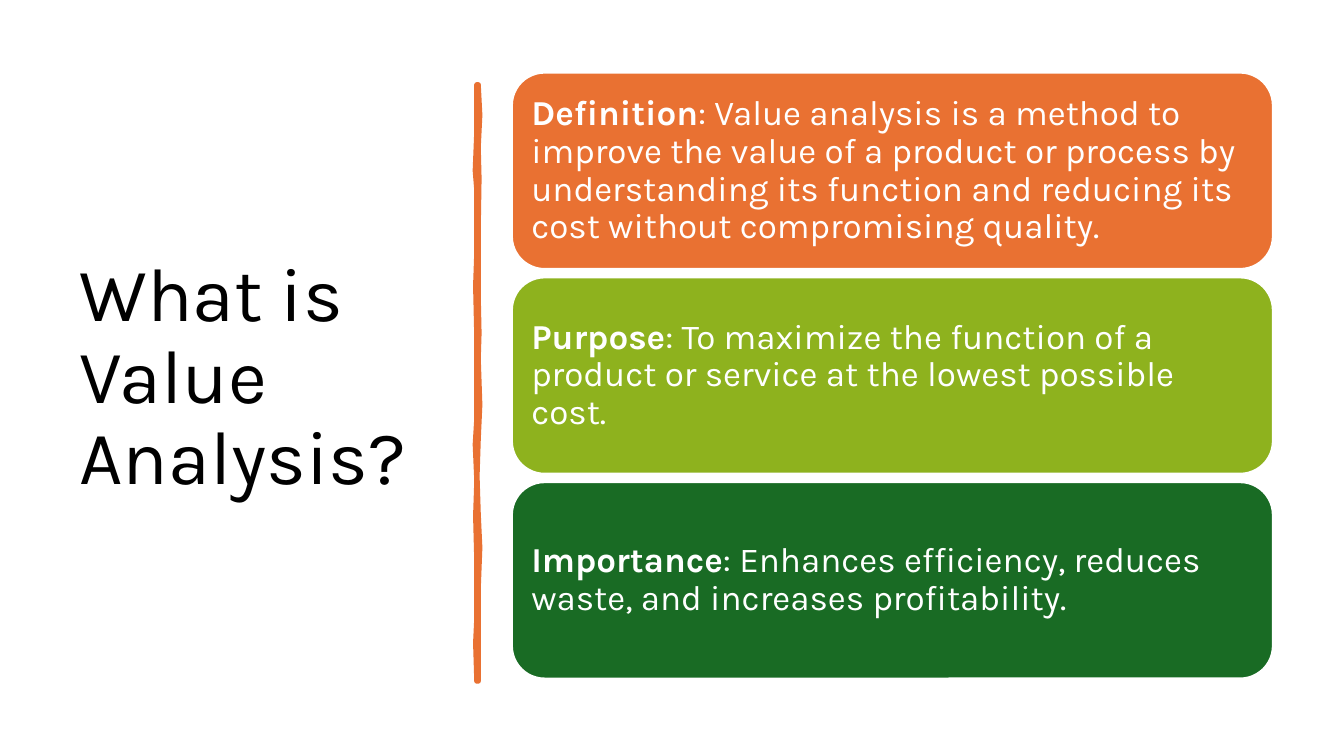
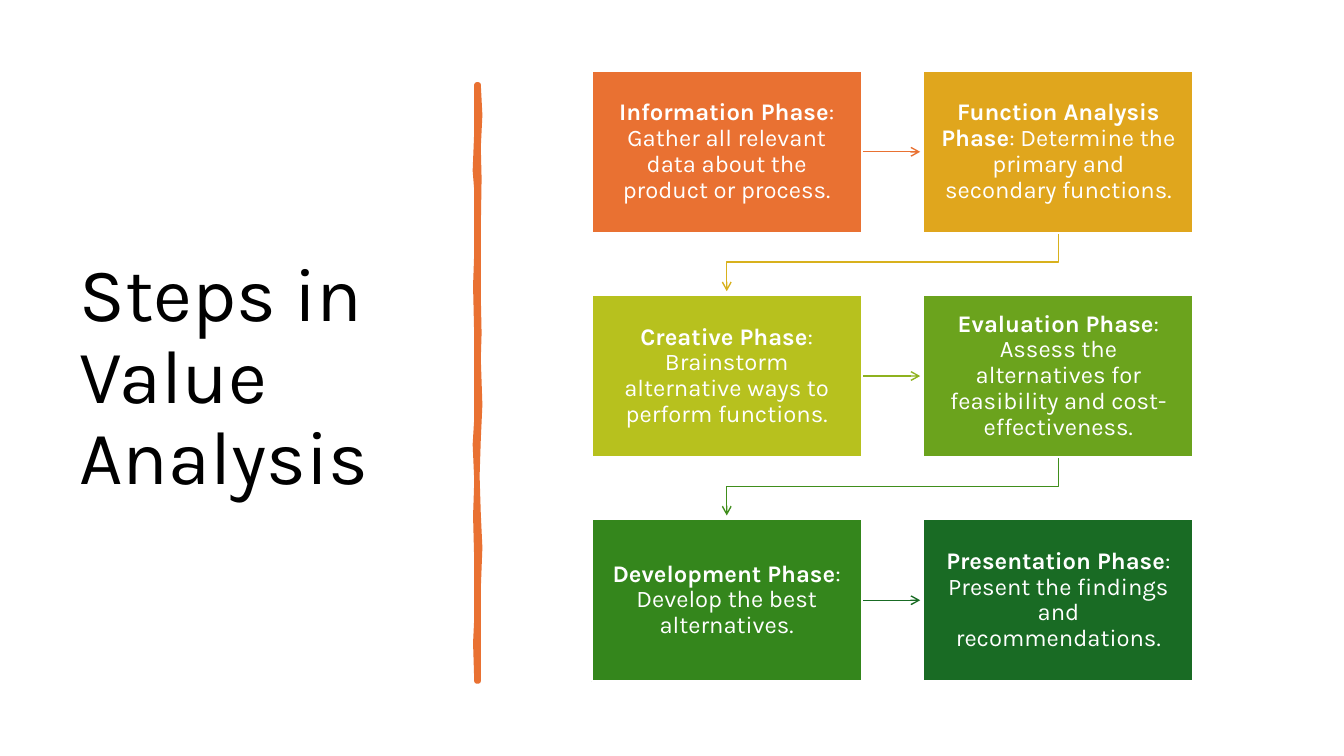
"""Build two slides on value analysis: its definition and its steps."""
import pptx
import pptx.dml.color
import pptx.enum.shapes
import pptx.enum.text
import pptx.oxml
import pptx.oxml.ns
import pptx.util

Cm = pptx.util.Cm
Pt = pptx.util.Pt
SHAPE = pptx.enum.shapes.MSO_SHAPE
CONNECTOR = pptx.enum.shapes.MSO_CONNECTOR
ALIGN = pptx.enum.text.PP_ALIGN
MIDDLE = pptx.enum.text.MSO_ANCHOR.MIDDLE

FONT = "Karla"
COLORS = {
    "black": "000000",
    "white": "FFFFFF",
    "orange": "E97132",
    "amber": "E0A61D",
    "gold": "D8B11D",
    "lime": "B7C11E",
    "olive": "8EB21E",
    "grass": "6BA31D",
    "leaf": "408E1C",
    "green": "34861C",
    "forest": "196B24",
}
RGB = {name: pptx.dml.color.RGBColor.from_string(value) for name, value in COLORS.items()}

TITLE_BOX = {"left": Cm(1.75), "top": Cm(1.78), "width": Cm(9.5), "height": Cm(15.52)}
TITLE_FRAME = {
    "word_wrap": True,
    "vertical_anchor": MIDDLE,
    "auto_size": pptx.enum.text.MSO_AUTO_SIZE.NONE,
}
CARD_FRAME = {
    "word_wrap": True,
    "vertical_anchor": MIDDLE,
    "margin_left": Cm(0.25),
    "margin_right": Cm(0.25),
    "margin_top": Cm(0.25),
    "margin_bottom": Cm(0.25),
}
STEP_FRAME = {
    "word_wrap": True,
    "vertical_anchor": MIDDLE,
    "margin_left": Cm(0.33),
    "margin_right": Cm(0.33),
    "margin_top": Cm(0.35),
    "margin_bottom": Cm(0.35),
}

BRUSH = [
    (12.06, 2.13), (12.1, 2.9), (12.06, 3.71), (12.08, 4.5), (12.06, 5.74),
    (12.06, 7.47), (12.08, 8.4), (12.06, 9.04), (12.1, 10.2), (12.06, 11.07),
    (12.03, 12), (12.06, 12.95), (12.1, 13.8), (12.06, 14.83), (12.06, 17.17),
    (12.01, 17.17), (11.98, 16.2), (12.01, 15.57), (12.01, 14.15), (11.98, 13),
    (12.01, 12.12), (11.97, 11.2), (12.01, 10.54), (12.01, 8.51), (11.98, 7.2),
    (12.01, 6.35), (12.01, 4.8), (11.97, 4.3), (12.01, 3.3), (12.01, 2.13),
]

SLIDE_TITLES = ["What is Value Analysis?", "Steps in Value Analysis"]
CARDS = [
    ("orange", "Definition", ": Value analysis is a method to improve the value of a product or "
     "process by understanding its function and reducing its cost without compromising quality."),
    ("olive", "Purpose",
     ": To maximize the function of a product or service at the lowest possible cost."),
    ("forest", "Importance",
     ": Enhances efficiency, reduces waste, and increases profitability."),
]
STEPS = [
    ("orange", "Information Phase", ": Gather all relevant data about the product or process."),
    ("amber", "Function Analysis Phase", ": Determine the primary and secondary functions."),
    ("lime", "Creative Phase", ": Brainstorm alternative ways to perform functions."),
    ("grass", "Evaluation Phase",
     ": Assess the alternatives for feasibility and cost-effectiveness."),
    ("green", "Development Phase", ": Develop the best alternatives."),
    ("forest", "Presentation Phase", ": Present the findings and recommendations."),
]
ARROW_COLORS = ["orange", "gold", "olive", "leaf", "forest"]


def add_box(s, shape, box, fill, texts, size, align, frame):
    """Add a filled box whose first text is bold."""
    sp = s.shapes.add_shape(shape, *[Cm(value) for value in box])
    sp.shadow.inherit = False
    sp.fill.solid()
    sp.fill.fore_color.rgb = RGB[fill]
    sp.line.color.rgb = RGB["white"]
    sp.line.width = Pt(1.5)
    for name, value in frame.items():
        setattr(sp.text_frame, name, value)
    p = sp.text_frame.paragraphs[0]
    p.alignment = align
    p.line_spacing = 0.9
    for text, bold in zip(texts, (True, False)):
        r = p.add_run()
        r.text = text
        for name, value in {"name": FONT, "size": Pt(size), "bold": bold}.items():
            setattr(r.font, name, value)
        r.font.color.rgb = RGB["white"]


def add_arrow(s, kind, ends, color):
    """Add a thin connector with an open head at its end."""
    c = s.shapes.add_connector(kind, *[Cm(value) for value in ends])
    c.line.color.rgb = RGB[color]
    c.line.width = Pt(1)
    ns = pptx.oxml.ns.nsdecls("a")
    c.line._get_or_add_ln().append(pptx.oxml.parse_xml(f'<a:tailEnd {ns} type="arrow"/>'))
    c._element.spPr.append(pptx.oxml.parse_xml(f"<a:effectLst {ns}/>"))
    return c


prs = pptx.Presentation()
prs.slide_width = Cm(33.87)
prs.slide_height = Cm(19.05)

slides = []
for title in SLIDE_TITLES:
    s = prs.slides.add_slide(prs.slide_layouts[5])
    sp = s.shapes.title
    for name, value in TITLE_BOX.items():
        setattr(sp, name, value)
    tf = sp.text_frame
    for name, value in TITLE_FRAME.items():
        setattr(tf, name, value)
    p = tf.paragraphs[0]
    p.alignment = ALIGN.LEFT
    p.line_spacing = 0.9
    r = p.add_run()
    r.text = title
    r.font.name = FONT
    r.font.size = Pt(54)
    r.font.color.rgb = RGB["black"]

    points = [(Cm(x), Cm(y)) for x, y in BRUSH]
    builder = s.shapes.build_freeform(*points[0])
    builder.add_line_segments(points[1:], close=True)
    sp = builder.convert_to_shape()
    sp.shadow.inherit = False
    sp.fill.solid()
    sp.fill.fore_color.rgb = RGB["orange"]
    sp.line.color.rgb = RGB["orange"]
    sp.line.width = Pt(3.25)
    sp.line._get_or_add_ln().append(
        pptx.oxml.parse_xml(f'<a:round {pptx.oxml.ns.nsdecls("a")}/>'))
    slides.append(s)

definition, steps = slides

for i, (fill, *texts) in enumerate(CARDS):
    box = (12.9, 1.83 + i * 5.16, 19.18, 4.95)
    add_box(definition, SHAPE.ROUNDED_RECTANGLE, box, fill, texts, 25, ALIGN.LEFT, CARD_FRAME)

LEFT, TOP, WIDTH, HEIGHT = 14.91, 1.78, 6.81, 4.09
COL_STEP, ROW_STEP, ARROW = 8.36, 5.65, 1.47
for i, (fill, *texts) in enumerate(STEPS):
    row, col = divmod(i, 2)
    x = LEFT + col * COL_STEP
    y = TOP + row * ROW_STEP
    if i < len(ARROW_COLORS) and col == 0:
        middle = y + HEIGHT / 2
        ends = (x + WIDTH, middle, x + WIDTH + ARROW, middle)
        add_arrow(steps, CONNECTOR.STRAIGHT, ends, ARROW_COLORS[i])
    elif i < len(ARROW_COLORS):
        cx = x + (WIDTH - COL_STEP) / 2
        cy = y + HEIGHT + ARROW / 2
        ends = (cx - ARROW / 2, cy - COL_STEP / 2, cx + ARROW / 2, cy + COL_STEP / 2)
        c = add_arrow(steps, CONNECTOR.ELBOW, ends, ARROW_COLORS[i])
        c._element.spPr.find(pptx.oxml.ns.qn("a:xfrm")).set("rot", "5400000")
    add_box(steps, SHAPE.RECTANGLE, (x, y, WIDTH, HEIGHT), fill, texts, 17,
            ALIGN.CENTER, STEP_FRAME)

prs.save("out.pptx")
